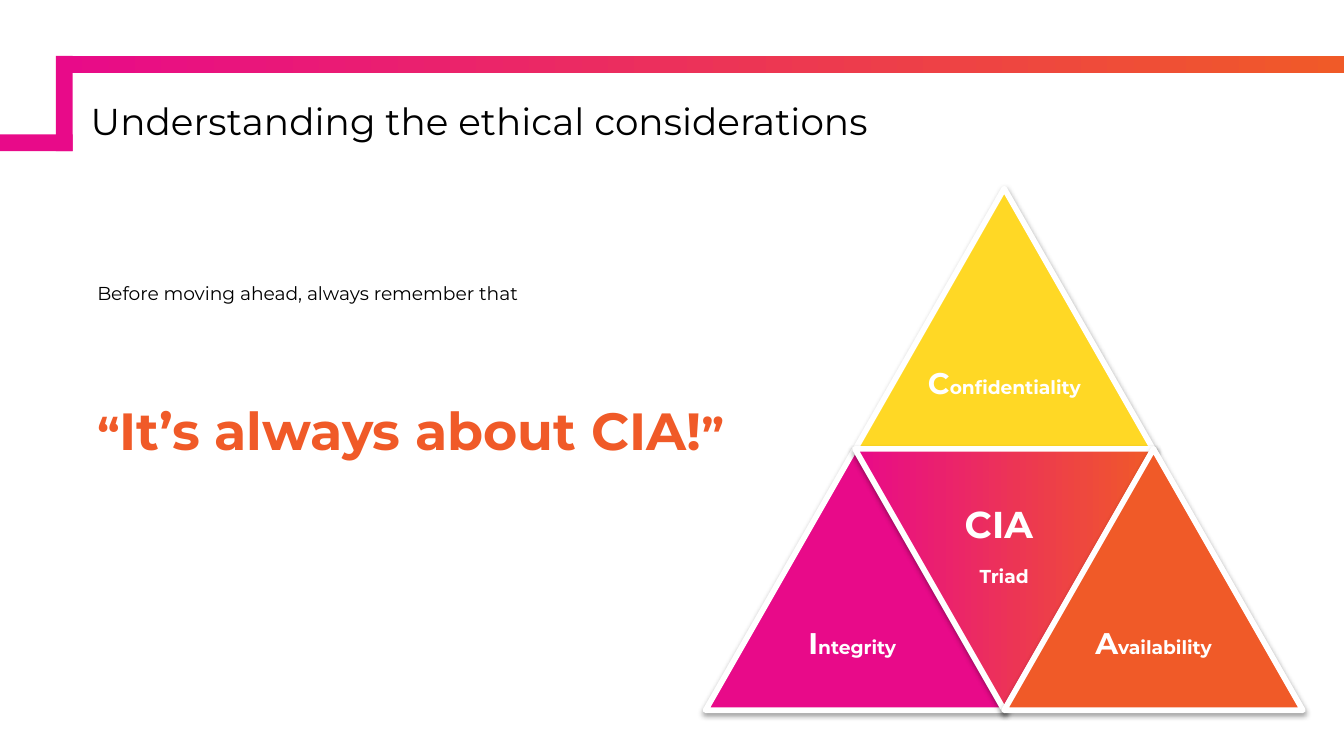
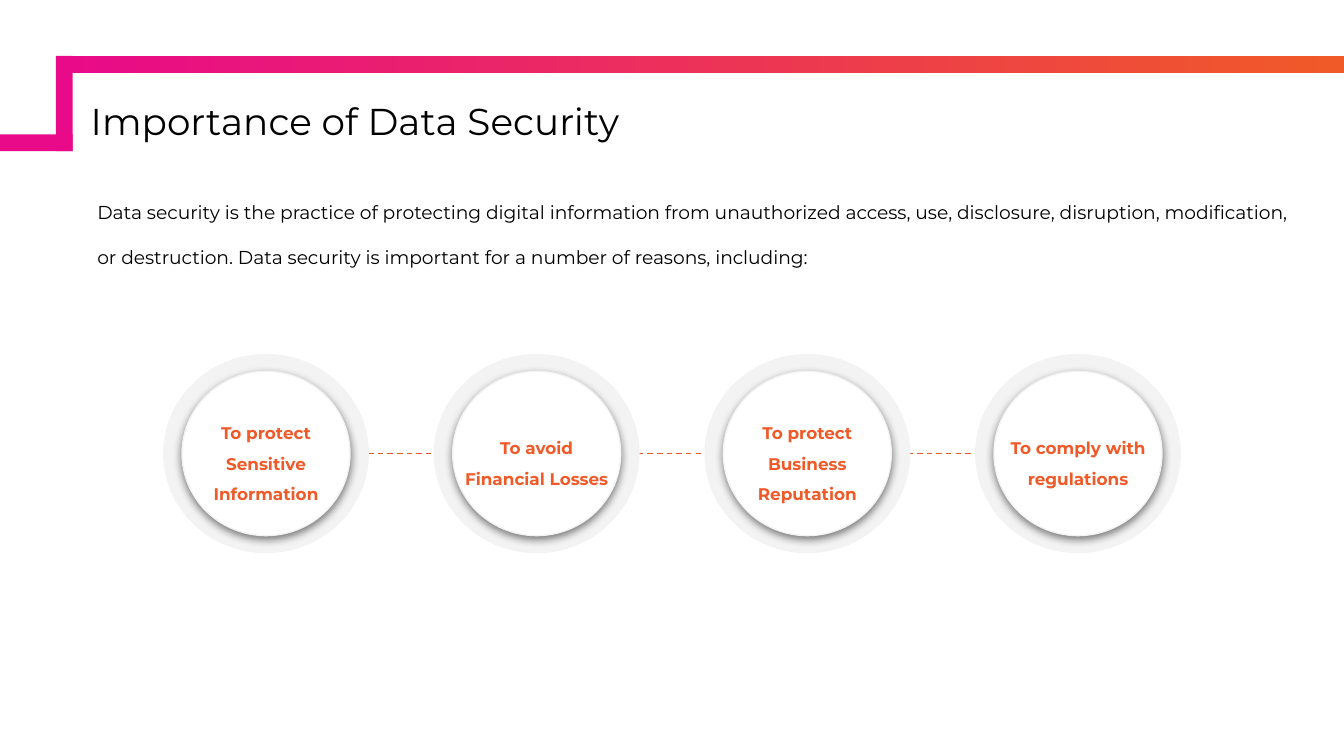
from lxml import etree
from pptx import Presentation
from pptx.dml.color import RGBColor
from pptx.enum.dml import MSO_LINE
from pptx.enum.shapes import MSO_CONNECTOR, MSO_SHAPE
from pptx.enum.text import MSO_ANCHOR, MSO_AUTO_SIZE, PP_ALIGN
from pptx.oxml.ns import qn
from pptx.util import Pt

MAGENTA = RGBColor(0xE8, 0x0A, 0x89)
ORANGE = RGBColor(0xF0, 0x5A, 0x28)
YELLOW = RGBColor(0xFF, 0xD8, 0x25)
WHITE = RGBColor(0xFF, 0xFF, 0xFF)
BLACK = RGBColor(0x00, 0x00, 0x00)
PALE_GRAY = RGBColor(0xF3, 0xF3, 0xF3)
FONT = "Montserrat"
TIGHT_INSET = 3.6
WIDE_INSET = 7.2


def add_figure(slide, kind, box, colors, outline=None, shadow=None):
    shape = slide.shapes.add_shape(kind, *[Pt(value) for value in box])
    shape.shadow.inherit = False
    if len(colors) == 1:
        shape.fill.solid()
        shape.fill.fore_color.rgb = colors[0]
    else:
        shape.fill.gradient()
        shape.fill.gradient_angle = 0
        for stop, color in zip(shape.fill.gradient_stops, colors):
            stop.color.rgb = color
    if outline:
        shape.line.color.rgb, shape.line.width = outline[0], Pt(outline[1])
    else:
        shape.line.fill.background()
    if shadow:
        opacity, blur, distance = shadow
        effects = shape._element.spPr.find(qn("a:effectLst"))
        outer = etree.SubElement(
            effects, qn("a:outerShdw"), blurRad=str(Pt(blur)),
            dist=str(Pt(distance)), dir="5400000", algn="bl", rotWithShape="0")
        color = etree.SubElement(outer, qn("a:srgbClr"), val=str(BLACK))
        etree.SubElement(color, qn("a:alpha"), val=str(opacity * 1000))
    return shape


def add_text(slide, box, paragraphs, inset, anchor=MSO_ANCHOR.TOP,
             alignment=PP_ALIGN.LEFT, line_spacing=0.9):
    frame = slide.shapes.add_textbox(*[Pt(value) for value in box]).text_frame
    frame.word_wrap = True
    frame.vertical_anchor = anchor
    frame.margin_left = frame.margin_right = Pt(inset)
    frame.margin_top = frame.margin_bottom = Pt(inset)
    if inset == WIDE_INSET:
        frame.auto_size = MSO_AUTO_SIZE.SHAPE_TO_FIT_TEXT
    for index, runs in enumerate(paragraphs):
        paragraph = frame.add_paragraph() if index else frame.paragraphs[0]
        paragraph.alignment = alignment
        paragraph.line_spacing = line_spacing
        for text, size, color, bold in runs:
            run = paragraph.add_run()
            run.text = text
            run.font.name = FONT
            run.font.size = Pt(size)
            run.font.color.rgb = color
            run.font.bold = bold
    return frame


presentation = Presentation()
presentation.slide_width = Pt(720)
presentation.slide_height = Pt(405)

BANDS = [
    ((30, 30, 690, 9), [MAGENTA, ORANGE]),
    ((30, 30, 9, 51), [MAGENTA]),
    ((0, 72, 39, 9), [MAGENTA]),
]
slides = []
for title in ["Understanding the ethical considerations",
              "Importance of Data Security"]:
    slide = presentation.slides.add_slide(presentation.slide_layouts[6])
    for box, colors in BANDS:
        add_figure(slide, MSO_SHAPE.RECTANGLE, box, colors)
    add_text(slide, (45, 56, 650, 24.5), [[(title, 20, BLACK, False)]],
             TIGHT_INSET, MSO_ANCHOR.BOTTOM)
    slides.append(slide)
ethics_slide, security_slide = slides

TRIANGLE_WIDTH, TRIANGLE_HEIGHT = 160, 140
APEX_LEFT, APEX_TOP = 458, 101
BASE_TOP = APEX_TOP + TRIANGLE_HEIGHT - 0.5
triangles = [
    (APEX_LEFT, APEX_TOP, [YELLOW], "C", "onfidentiality", 90),
    (APEX_LEFT - 80, BASE_TOP, [MAGENTA], "I", "ntegrity ", 80),
    (APEX_LEFT, BASE_TOP, [ORANGE, MAGENTA], None, None, 80),
    (APEX_LEFT + 80, BASE_TOP, [ORANGE], "A", "vailability", 80),
]
for left, top, colors, initial, rest, label_width in triangles:
    triangle = add_figure(
        ethics_slide, MSO_SHAPE.ISOSCELES_TRIANGLE,
        (left, top, TRIANGLE_WIDTH, TRIANGLE_HEIGHT), colors,
        (WHITE, 3), (38, 3.1, 1.6))
    label_left = left + (TRIANGLE_WIDTH - label_width) / 2
    if initial:
        add_text(ethics_slide, (label_left, top + 70, label_width, 70),
                 [[(initial, 16, WHITE, True), (rest, 10, WHITE, True)]],
                 TIGHT_INSET, MSO_ANCHOR.MIDDLE, PP_ALIGN.CENTER)
    else:
        triangle.rotation = 180
        triad = add_text(
            ethics_slide, (label_left, top + 16, label_width, 70),
            [[("CIA ", 20, WHITE, True)], [("Triad", 10, WHITE, True)]],
            TIGHT_INSET, MSO_ANCHOR.MIDDLE, PP_ALIGN.CENTER, 1.0)
        triad.paragraphs[1].space_before = Pt(10)
        triad.paragraphs[1].space_after = Pt(10)

add_text(ethics_slide, (45, 125.5, 356, 78.5), [
    [("Before moving ahead, always remember that", 10, BLACK, False)],
    [("“", 24, ORANGE, True), ("It’s always about CIA!", 28, ORANGE, True),
     ("”", 24, ORANGE, True)],
], WIDE_INSET, line_spacing=2.5)

introduction = add_text(security_slide, (45, 88.5, 658, 51), [[(
    "Data security is the practice of protecting digital information from "
    "unauthorized access, use, disclosure, disruption, modification, or "
    "destruction. Data security is important for a number of reasons, "
    "including:", 10, BLACK, False)]], WIDE_INSET, line_spacing=2.0)
introduction.paragraphs[0].space_after = Pt(18)

FIRST_CENTER, CENTER_STEP, CENTER_Y = 142.5, 145, 243
RING_WIDTH, RING_HEIGHT = 109.5, 106
DISC_WIDTH, DISC_HEIGHT = 90, 88
reasons = [
    (["To protect Sensitive Information"], 58),
    (["To avoid", "Financial Losses"], 42),
    (["To protect Business Reputation"], 58),
    (["To comply with regulations"], 42),
]
last_center = FIRST_CENTER + CENTER_STEP * (len(reasons) - 1)
connector = security_slide.shapes.add_connector(
    MSO_CONNECTOR.STRAIGHT,
    Pt(FIRST_CENTER + RING_WIDTH / 2), Pt(CENTER_Y),
    Pt(last_center - RING_WIDTH / 2), Pt(CENTER_Y))
connector.line.color.rgb = ORANGE
connector.line.width = Pt(0.75)
connector.line.dash_style = MSO_LINE.DASH
etree.SubElement(connector._element.spPr, qn("a:effectLst"))

for index, (lines, label_height) in enumerate(reasons):
    center = FIRST_CENTER + CENTER_STEP * index
    for width, height, color, shadow in [
        (RING_WIDTH, RING_HEIGHT, PALE_GRAY, None),
        (DISC_WIDTH, DISC_HEIGHT, WHITE, (50, 4.5, 1.5)),
    ]:
        add_figure(security_slide, MSO_SHAPE.OVAL,
                   (center - width / 2, CENTER_Y - height / 2, width, height),
                   [color], (PALE_GRAY, 0.75), shadow)
    add_text(security_slide,
             (center - 51, CENTER_Y - label_height / 2, 102, label_height),
             [[(line, 9, ORANGE, True)] for line in lines],
             WIDE_INSET, alignment=PP_ALIGN.CENTER, line_spacing=1.5)

presentation.save("out.pptx")
